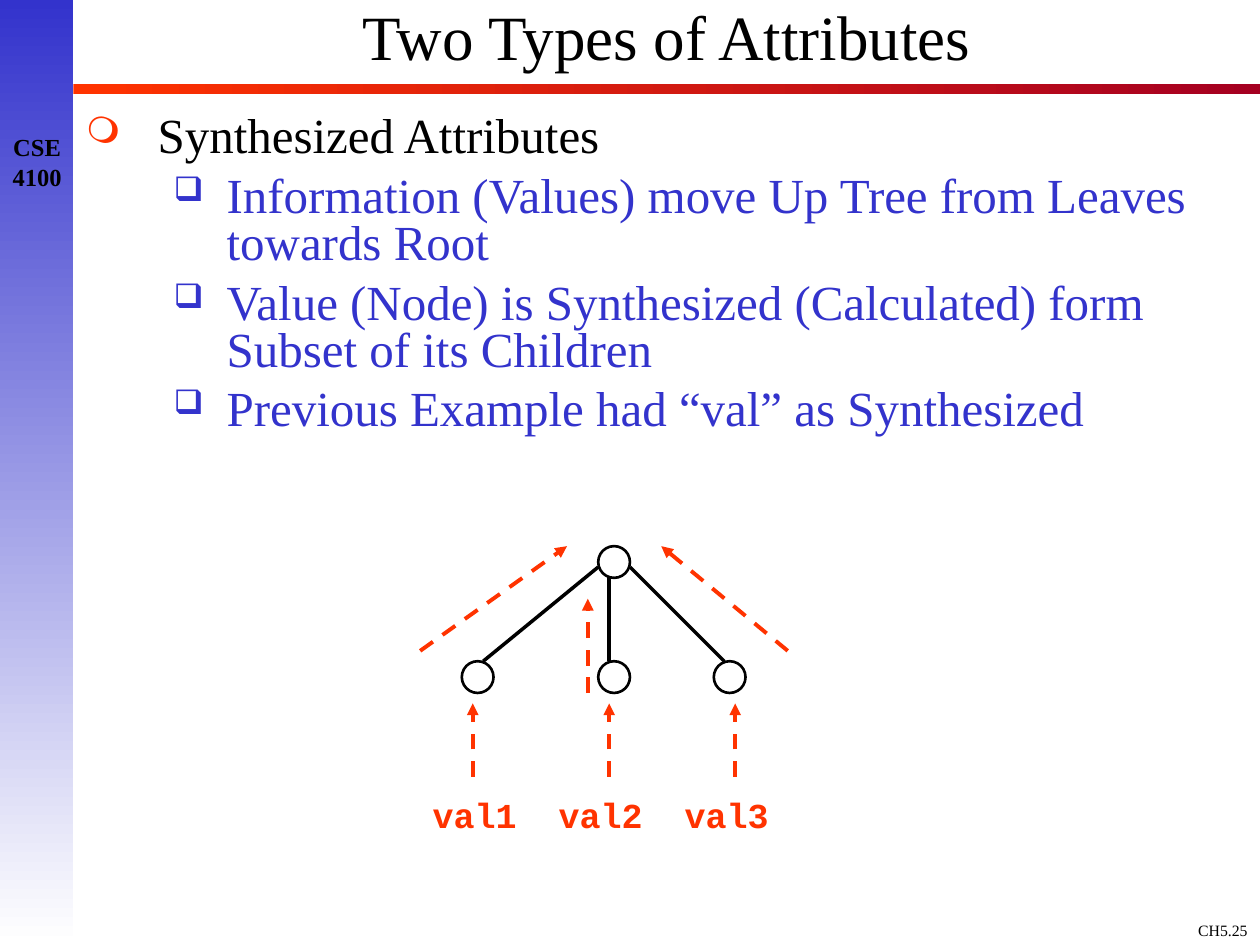
from lxml import etree
from pptx import Presentation
from pptx.dml.color import RGBColor
from pptx.enum.dml import MSO_LINE
from pptx.enum.shapes import MSO_CONNECTOR, MSO_SHAPE
from pptx.enum.text import MSO_ANCHOR, PP_ALIGN
from pptx.oxml.ns import qn
from pptx.util import Cm, Pt

RECT, OVAL = MSO_SHAPE.RECTANGLE, MSO_SHAPE.OVAL
STRAIGHT, DASH = MSO_CONNECTOR.STRAIGHT, MSO_LINE.DASH
LEFT, MID, RIGHT = PP_ALIGN.LEFT, PP_ALIGN.CENTER, PP_ALIGN.RIGHT
TOP, CENTER = MSO_ANCHOR.TOP, MSO_ANCHOR.MIDDLE

WIDE, HIGH, SIDE = 25.4, 19.05, 1.48
BLACK, RED, WINE, BLUE, WHITE = "000000", "FF3300", "A50021", "3333CC", "FFFFFF"
SERIF, MONO = "Times New Roman", "Courier New"

TITLE = "Two Types of Attributes"
COURSE = ["CSE", "4100"]
PAGE = "CH5.25"
HEAD = "Synthesized Attributes"
POINTS = [
    "Information (Values) move Up Tree from Leaves towards Root",
    "Value (Node) is Synthesized (Calculated) form Subset of its Children",
    "Previous Example had “val” as Synthesized",
]
LABELS = "val1 \tval2\tval3"

LEVELS = [
    dict(mark="❍", tint=RED, part=75, left=1.45, hang=1.45, color=BLACK, lead=0.89, gap=0),
    dict(mark="❑", tint=BLUE, part=69, left=2.84, hang=1.07, color=BLUE, lead=0.8, gap=7),
]

NODE = 0.64
ROOT = (12.06, 11.01)
LEAVES = [(x, 13.33) for x in (9.31, 12.06, 14.39)]
EDGES = [
    ((9.74, 13.33), (12.06, 11.43)),
    ((12.28, 11.64), (12.28, 13.33)),
    ((12.7, 11.43), (14.6, 13.33)),
]
FLOWS = [
    ((8.47, 13.12), (11.43, 11.01)),
    ((15.88, 13.12), (13.33, 11.01)),
    ((11.85, 13.97), (11.85, 12.07)),
] + [((x, 15.66), (x, 14.18)) for x in (9.53, 12.28, 14.82)]


def rgb(code):
    return RGBColor.from_string(code)


def sub(top, tag, **attrs):
    return etree.SubElement(top, qn(tag), attrs)


def bullet(para, mark, tint, part, left, hang):
    props = para._p.get_or_add_pPr()
    props.set("marL", str(Cm(left)))
    props.set("indent", str(-Cm(hang)))
    sub(sub(props, "a:buClr"), "a:srgbClr", val=tint)
    sub(props, "a:buSzPct", val=str(part * 1000))
    sub(props, "a:buChar", char=mark)


def text(box, lines, size=28, font=SERIF, color=BLACK, bold=False, align=LEFT,
         anchor=TOP, wrap=True, lead=None, tabs=(), levels=()):
    frame = slide.shapes.add_textbox(*map(Cm, box)).text_frame
    frame.word_wrap = wrap
    frame.vertical_anchor = anchor
    for i, line in enumerate(lines):
        para = frame.paragraphs[0] if i == 0 else frame.add_paragraph()
        para.alignment = align
        look = dict(levels[i]) if levels else dict(color=color, lead=lead, gap=0)
        ink, pitch, gap = (look.pop(key) for key in ("color", "lead", "gap"))
        if pitch:
            para.line_spacing = pitch
        if gap:
            para.space_before = Pt(gap)
        if look:
            bullet(para, **look)
        if tabs:
            stops = sub(para._p.get_or_add_pPr(), "a:tabLst")
            for stop in tabs:
                sub(stops, "a:tab", pos=str(Cm(stop)), algn="l")
        run = para.add_run()
        run.text = line
        run.font.name, run.font.size, run.font.bold = font, Pt(size), bold
        run.font.color.rgb = rgb(ink)


def band(box, first, last, angle):
    shape = slide.shapes.add_shape(RECT, *map(Cm, box))
    shape.shadow.inherit = False
    shape.line.fill.background()
    shape.fill.gradient()
    shape.fill.gradient_angle = angle
    for stop, code in zip(shape.fill.gradient_stops, (first, last)):
        stop.color.rgb = rgb(code)


def line(home, start, end, color, width, arrow=False):
    link = home.add_connector(STRAIGHT, *map(Cm, start + end))
    link.line.color.rgb = rgb(color)
    link.line.width = Pt(width)
    if arrow:
        link.line.dash_style = DASH
        sub(link.line._get_or_add_ln(), "a:tailEnd", type="triangle")
    sub(link._element.spPr, "a:effectLst")


def node(home, spot):
    ring = home.add_shape(OVAL, *map(Cm, spot + (NODE, NODE)))
    ring.shadow.inherit = False
    ring.fill.background()
    ring.line.color.rgb = rgb(BLACK)
    ring.line.width = Pt(1.5)


deck = Presentation()
deck.slide_width, deck.slide_height = Cm(WIDE), Cm(HIGH)
slide = deck.slides.add_slide(deck.slide_layouts[6])
main = WIDE - SIDE

band((SIDE, 1.69, main, 0.21), RED, WINE, 0)
band((0, 0, SIDE, HIGH), BLUE, WHITE, 270)
text((22.48, 18.44, 2.92, 0.61), [PAGE], size=9, align=RIGHT)
text((0, 2.54, 1.5, 1.45), COURSE, size=14, bold=True, align=MID, wrap=False)
text((SIDE, 0, main, 1.69), [TITLE], size=36, align=MID, anchor=CENTER, lead=0.8)
text((SIDE, 2.12, main, 9.95), [HEAD] + POINTS,
     levels=LEVELS[:1] + LEVELS[1:] * len(POINTS))

tree = slide.shapes.add_group_shape().shapes
for start, end in EDGES:
    line(tree, start, end, BLACK, 2)
for spot in [ROOT] + LEAVES:
    node(tree, spot)
for start, end in FLOWS:
    line(slide.shapes, start, end, RED, 2.25, arrow=True)
text((8.47, 15.88, 7.29, 1.11), [LABELS], size=20, font=MONO, color=RED,
     bold=True, tabs=(2.54, 5.08))

deck.save("out.pptx")
